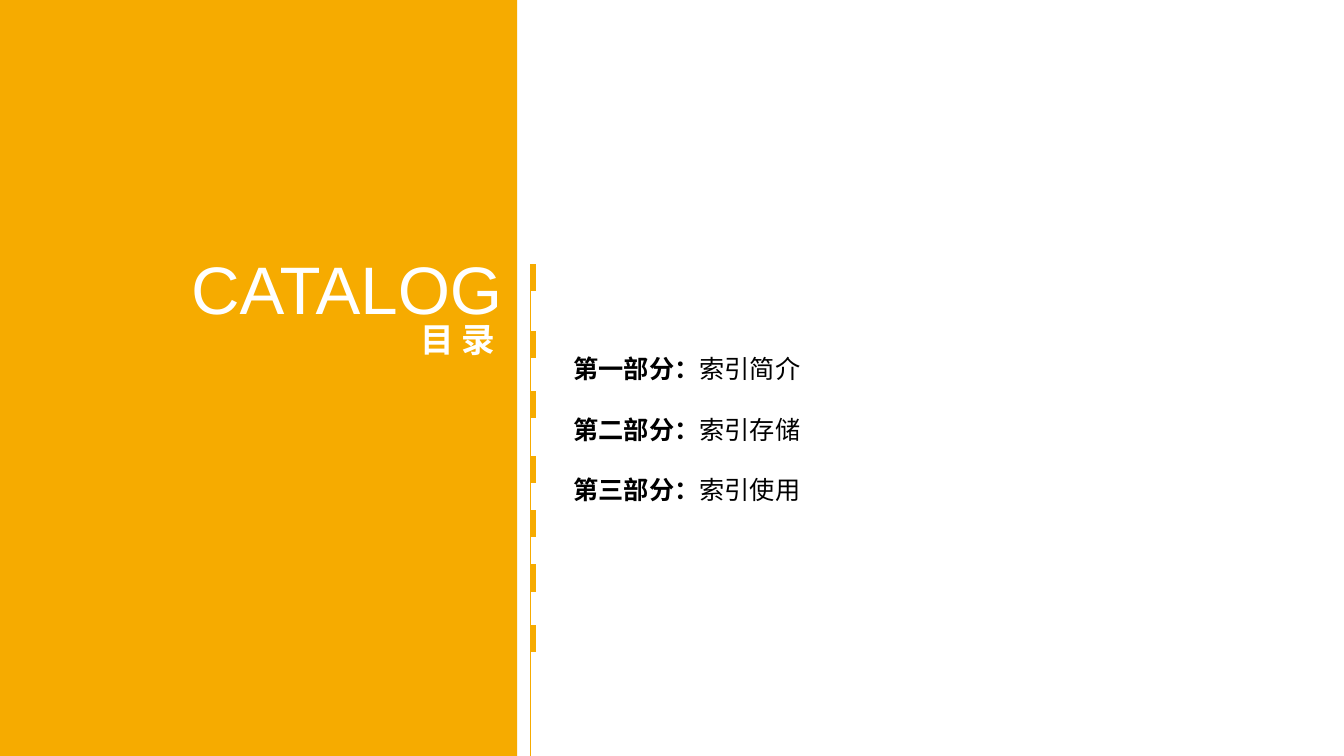
from pptx import Presentation
from pptx.dml.color import RGBColor
from pptx.enum.shapes import MSO_CONNECTOR as Line, MSO_SHAPE as Shape
from pptx.enum.text import MSO_ANCHOR as Anchor, MSO_AUTO_SIZE as Fit, PP_ALIGN as Align
from pptx.oxml.ns import qn
from pptx.util import Inches, Pt
from lxml.etree import SubElement

AMBER = RGBColor(0xF6, 0xAB, 0x00)
WHITE = RGBColor(0xFF, 0xFF, 0xFF)
BLACK = RGBColor(0x00, 0x00, 0x00)
LATIN = "Arial"
HAN = "Noto Sans CJK SC"

TITLE = "CATALOG"
LABEL = "目 录"
PARTS = [
    ("第一部分：", "索引简介"),
    ("第二部分：", "索引存储"),
    ("第三部分：", "索引使用"),
]
TICKS = [2.62, 3.28, 3.88, 4.52, 5.06, 5.6, 6.2]
RAIL = 5.26


def write(para, text, size=18, font=HAN, color=BLACK, bold=False):
    run = para.add_run()
    run.text = text
    face = run.font
    face.size, face.name, face.bold = Pt(size), font, bold
    face.color.rgb = color
    SubElement(face._element, qn("a:ea")).set("typeface", font)


def place(shape, left, top, width, height):
    shape.left, shape.top = Inches(left), Inches(top)
    shape.width, shape.height = Inches(width), Inches(height)


def block(kind, left, top, width, height):
    shape = slide.shapes.add_shape(kind, *map(Inches, (left, top, width, height)))
    shape.shadow.inherit = False
    shape.fill.solid()
    shape.fill.fore_color.rgb = AMBER
    shape.line.fill.background()


def frame(left, top, width, height):
    box = slide.shapes.add_textbox(*map(Inches, (left, top, width, height)))
    box.text_frame.word_wrap = True
    return box.text_frame


deck = Presentation()
deck.slide_width, deck.slide_height = Inches(13.33), Inches(7.5)
slide = deck.slides.add_slide(deck.slide_layouts[5])

rail = slide.shapes.add_connector(
    Line.STRAIGHT, Inches(RAIL), Inches(TICKS[0]), Inches(RAIL), Inches(7.5)
)
rail.line.color.rgb = AMBER
rail.line.width = Pt(0.75)
SubElement(rail._element.spPr, qn("a:effectLst"))

for top in TICKS:
    block(Shape.FLOWCHART_PROCESS, RAIL, top, 0.06, 0.27)
block(Shape.RECTANGLE, 0, 0, 5.13, 7.5)

title = slide.shapes.title
slide.shapes._spTree.append(title._element)
place(title, 1.76, 2.74, 3.36, 0.57)
head = title.text_frame
head.auto_size = Fit.NONE
head.word_wrap = True
head.vertical_anchor = Anchor.BOTTOM
para = head.paragraphs[0]
para.alignment = Align.CENTER
para.line_spacing = 0.9
write(para, TITLE, size=48, font=LATIN, color=WHITE)

para = frame(0.73, 3.16, 4.28, 0.31).paragraphs[0]
para.alignment = Align.RIGHT
para.line_spacing = 0.9
write(para, LABEL, size=24, color=WHITE, bold=True)

body = frame(5.59, 3.16, 6.97, 2.74)
for i, (part, name) in enumerate(PARTS):
    para = body.add_paragraph() if i else body.paragraphs[0]
    para.line_spacing = Pt(43.2)
    write(para, part, bold=True)
    write(para, name)

deck.save("out.pptx")
